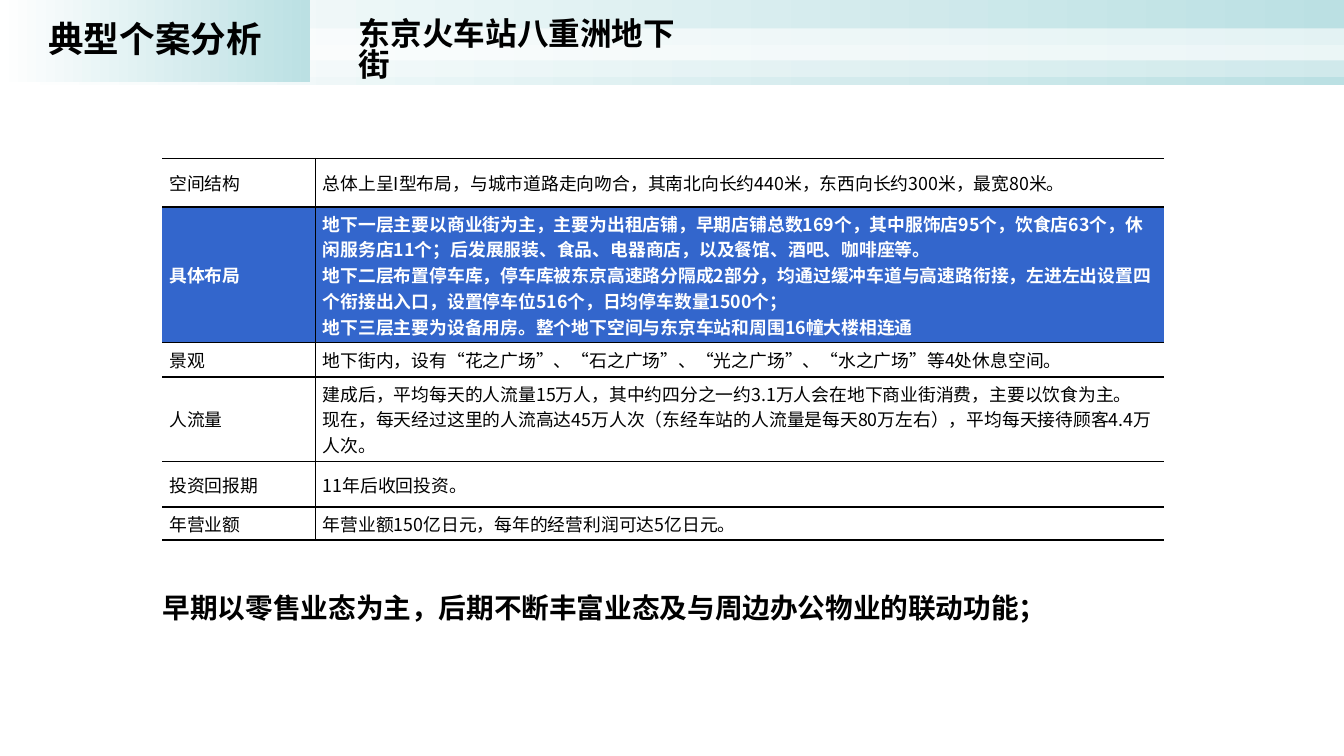
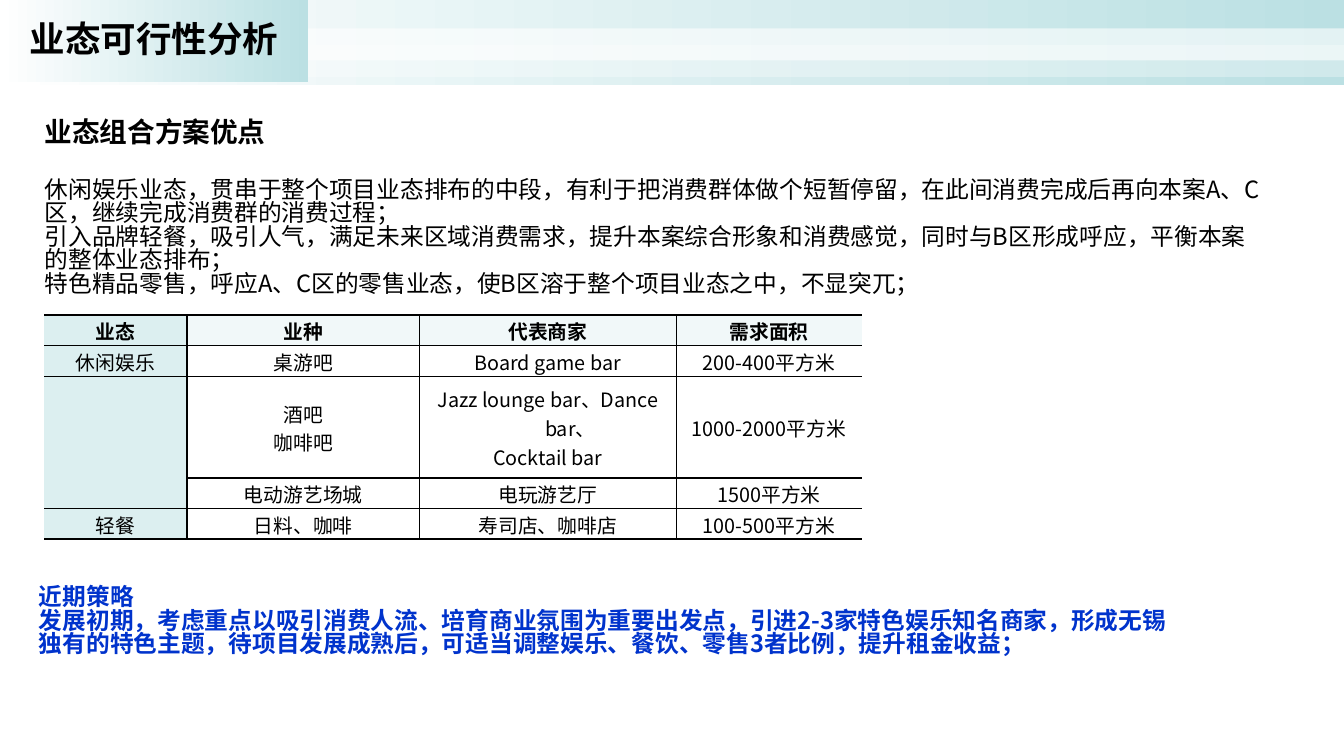
"""Build two slides on underground retail: a station case study and a tenant mix."""
from dataclasses import dataclass
from typing import Optional, Sequence

from lxml.etree import SubElement
from pptx import Presentation
from pptx.dml.color import RGBColor
from pptx.enum.shapes import MSO_SHAPE as Preset
from pptx.enum.text import MSO_ANCHOR as Anchor, MSO_AUTO_SIZE as AutoSize, PP_ALIGN as Align
from pptx.oxml.ns import qn
from pptx.util import Emu, Pt

EMU_PER_PX = 9144
FONT = "Noto Sans CJK SC"
BLACK, WHITE, TEAL = "000000", "FFFFFF", "BBE0E3"
ROW_BLUE, STRATEGY_BLUE = "3366CC", "0033CC"
TIGHT = 0.83
BORDER_POINTS = 1.5


@dataclass(frozen=True)
class Box:
    """Place and size in px."""
    left: int
    top: int
    width: int
    height: int


@dataclass(frozen=True)
class Band:
    """A header strip of the master; no opacity means the teal gradient."""
    box: Box
    opacity: Optional[int] = None


@dataclass(frozen=True)
class CellStyle:
    """Format of one table cell."""
    size: int
    color: str = BLACK
    bold: bool = False
    align: Align = Align.LEFT
    hanging: int = 0
    fill: Optional[str] = None
    opacity: int = 100
    margin_top: int = 5
    margin_bottom: int = 5


BANDS = (
    Band(Box(0, 0, 1890, 119)),
    Band(Box(0, 40, 1890, 45), 60),
    Band(Box(0, 63, 1890, 45), 31),
)

STATION_ROWS = (
    ("空间结构", "总体上呈I型布局，与城市道路走向吻合，其南北向长约440米，东西向长约300米，最宽80米。"),
    ("具体布局",
     "地下一层主要以商业街为主，主要为出租店铺，早期店铺总数169个，其中服饰店95个，饮食店63个，"
     "休闲服务店11个；后发展服装、食品、电器商店，以及餐馆、酒吧、咖啡座等。\n"
     "地下二层布置停车库，停车库被东京高速路分隔成2部分，均通过缓冲车道与高速路衔接，左进左出设置"
     "四个衔接出入口，设置停车位516个，日均停车数量1500个；\n"
     "地下三层主要为设备用房。整个地下空间与东京车站和周围16幢大楼相连通"),
    ("景观", "地下街内，设有“花之广场”、“石之广场”、“光之广场”、“水之广场”等4处休息空间。"),
    ("人流量",
     "建成后，平均每天的人流量15万人，其中约四分之一约3.1万人会在地下商业街消费，主要以饮食为主。\n"
     "现在，每天经过这里的人流高达45万人次（东经车站的人流量是每天80万左右），平均每天接待顾客4.4万人次。"),
    ("投资回报期", "11年后收回投资。"),
    ("年营业额", "年营业额150亿日元，每年的经营利润可达5亿日元。"),
)
HIGHLIGHTED_ROW = 1

TENANT_ROWS = (
    ("业态", "业种", "代表商家", "需求面积"),
    ("休闲娱乐", "桌游吧", "Board game bar", "200-400平方米"),
    ("", "酒吧\n咖啡吧", "Jazz lounge bar、Dance bar、\nCocktail bar", "1000-2000平方米"),
    ("", "电动游艺场城", "电玩游艺厅", "1500平方米"),
    ("轻餐", "日料、咖啡", "寿司店、咖啡店", "100-500平方米"),
)

ADVANTAGES = (
    "休闲娱乐业态，贯串于整个项目业态排布的中段，有利于把消费群体做个短暂停留，在此间消费完成后"
    "再向本案A、C区，继续完成消费群的消费过程；\n"
    "引入品牌轻餐，吸引人气，满足未来区域消费需求，提升本案综合形象和消费感觉，同时与B区形成呼应，"
    "平衡本案的整体业态排布；\n"
    "特色精品零售，呼应A、C区的零售业态，使B区溶于整个项目业态之中，不显突兀；"
)
STRATEGY = (
    "近期策略\n"
    "发展初期，考虑重点以吸引消费人流、培育商业氛围为重要出发点，引进2-3家特色娱乐知名商家，"
    "形成无锡独有的特色主题，待项目发展成熟后，可适当调整娱乐、餐饮、零售3者比例，提升租金收益；"
)


def px(value: int) -> Emu:
    """Turn px into EMU."""
    return Emu(value * EMU_PER_PX)


def place(box: Box) -> tuple:
    """Return the EMU position and size of a box."""
    return px(box.left), px(box.top), px(box.width), px(box.height)


def rgb(color: str) -> RGBColor:
    """Turn a hex string into a colour."""
    return RGBColor.from_string(color)


def fill_solid(fill, color: str, opacity: int = 100) -> None:
    """Fill with one colour at an opacity in percent."""
    fill.solid()
    fill.fore_color.rgb = rgb(color)
    if opacity < 100:
        color_element = fill._xPr.find(qn("a:solidFill"))[0]
        SubElement(color_element, qn("a:alpha"), val=str(opacity * 1000))


def fill_gradient(fill) -> None:
    """Fill from white on the left to teal on the right."""
    fill.gradient()
    fill.gradient_angle = 0
    for stop, color in zip(fill.gradient_stops, (WHITE, TEAL)):
        stop.color.rgb = rgb(color)


def write_text(text_frame, text: str, *, size: int, color: str = BLACK, bold: bool = False,
               align: Align = Align.LEFT, spacing: float = 1.0, hanging: int = 0) -> None:
    """Write one unbulleted paragraph per line of text."""
    for index, line in enumerate(text.split("\n")):
        paragraph = text_frame.add_paragraph() if index else text_frame.paragraphs[0]
        properties = paragraph._p.get_or_add_pPr()
        properties.set("marL", str(px(hanging)))
        properties.set("indent", str(px(-hanging)))
        SubElement(properties, qn("a:buNone"))
        paragraph.alignment = align
        paragraph.line_spacing = spacing
        paragraph.space_before = paragraph.space_after = Pt(0)
        run = paragraph.add_run()
        run.text = line
        run.font.name = FONT
        run.font.size = Pt(size)
        run.font.bold = bold
        run.font.color.rgb = rgb(color)
        SubElement(run._r.get_or_add_rPr(), qn("a:ea"), typeface=FONT)


def fill_frame(shape, box: Box, text: str, *, anchor: Anchor = Anchor.MIDDLE, **text_format) -> None:
    """Place a text shape and write its text."""
    shape.left, shape.top, shape.width, shape.height = place(box)
    frame = shape.text_frame
    frame.word_wrap = True
    frame.auto_size = AutoSize.NONE
    frame.vertical_anchor = anchor
    write_text(frame, text, **text_format)


def add_text(slide, box: Box, text: str, **text_format) -> None:
    """Add a text box with tight lines."""
    fill_frame(slide.shapes.add_textbox(*place(box)), box, text, spacing=TIGHT, **text_format)


def set_title(slide, text: str, width: int) -> None:
    """Format the title placeholder as a gradient tab."""
    title = slide.shapes.title
    fill_gradient(title.fill)
    fill_frame(title, Box(0, 0, width, 115), text, size=36, bold=True,
               align=Align.CENTER, spacing=0.9)


def move_bands_to_master(slide, master) -> None:
    """Draw the header strips and hand them to the master."""
    for position, band in enumerate(BANDS, start=2):
        shape = slide.shapes.add_shape(Preset.RECTANGLE, *place(band.box))
        shape.shadow.inherit = False
        shape.line.fill.background()
        if band.opacity is None:
            fill_gradient(shape.fill)
        else:
            fill_solid(shape.fill, WHITE, band.opacity)
        master.shapes._spTree.insert(position, shape._element)


def set_borders(cell, *, left: bool, right: bool) -> None:
    """Rule a cell above and below, and at the inner sides."""
    properties = cell._tc.get_or_add_tcPr()
    sides = (("a:lnL", left), ("a:lnR", right), ("a:lnT", True), ("a:lnB", True))
    for position, (tag, visible) in enumerate(sides):
        line = SubElement(properties, qn(tag), w=str(Pt(BORDER_POINTS)))
        if visible:
            SubElement(SubElement(line, qn("a:solidFill")), qn("a:srgbClr"), val=BLACK)
        else:
            SubElement(line, qn("a:noFill"))
        properties.insert(position, line)


def format_cell(cell, text: str, style: CellStyle) -> None:
    """Apply a style to a cell and write its text."""
    cell.vertical_anchor = Anchor.MIDDLE
    cell.margin_top, cell.margin_bottom = px(style.margin_top), px(style.margin_bottom)
    if style.fill:
        fill_solid(cell.fill, style.fill, style.opacity)
    else:
        cell.fill.background()
    write_text(cell.text_frame, text, size=style.size, color=style.color, bold=style.bold,
               align=style.align, hanging=style.hanging)


def add_grid(slide, left: int, top: int, widths: Sequence[int], heights: Sequence[int],
             rows: Sequence[Sequence[str]], style_of):
    """Add a ruled table whose cell styles come from style_of(row, column)."""
    box = Box(left, top, sum(widths), sum(heights))
    table = slide.shapes.add_table(len(heights), len(widths), *place(box)).table
    table.first_row = table.horz_banding = False
    for column, width in zip(table.columns, widths):
        column.width = px(width)
    for row_index, (height, texts) in enumerate(zip(heights, rows)):
        table.rows[row_index].height = px(height)
        for column_index, text in enumerate(texts):
            cell = table.cell(row_index, column_index)
            format_cell(cell, text, style_of(row_index, column_index))
            set_borders(cell, left=column_index > 0, right=column_index < len(widths) - 1)
    return table


def station_style(row: int, column: int) -> CellStyle:
    """Style the station table, with one row highlighted."""
    if row == HIGHLIGHTED_ROW:
        return CellStyle(18, color=WHITE, bold=True, fill=ROW_BLUE)
    return CellStyle(18)


def tenant_style(row: int, column: int) -> CellStyle:
    """Style the tenant table, with a tinted header and first column."""
    tinted = row == 0 or column == 0
    return CellStyle(20, bold=row == 0, align=Align.CENTER, hanging=63,
                     fill=TEAL if tinted else None, opacity=50 if column == 0 else 20,
                     margin_top=2, margin_bottom=0)


def build_station_slide(slide) -> None:
    """Fill the station case slide."""
    set_title(slide, "典型个案分析", 436)
    add_text(slide, Box(495, 23, 500, 63), "东京火车站八重洲地下街",
             size=32, bold=True, anchor=Anchor.TOP)
    add_grid(slide, 228, 223, (216, 1193), (68, 191, 48, 119, 64, 46), STATION_ROWS, station_style)
    add_text(slide, Box(219, 829, 1379, 57), "早期以零售业态为主，后期不断丰富业态及与周边办公物业的联动功能；",
             size=28, bold=True)


def build_tenant_slide(slide) -> None:
    """Fill the tenant mix slide."""
    set_title(slide, "业态可行性分析", 433)
    add_text(slide, Box(53, 160, 400, 57), "业态组合方案优点", size=28, bold=True)
    fill_frame(slide.placeholders[1], Box(53, 230, 1733, 210), ADVANTAGES, size=24, spacing=TIGHT)
    table = add_grid(slide, 62, 443, (201, 327, 361, 261), (43, 43, 143, 43, 43),
                     TENANT_ROWS, tenant_style)
    table.cell(2, 0).merge(table.cell(3, 0))
    add_text(slide, Box(45, 810, 1608, 130), STRATEGY, size=24, color=STRATEGY_BLUE, bold=True)


def main() -> None:
    """Build and save the presentation."""
    presentation = Presentation()
    presentation.slide_width, presentation.slide_height = px(1890), px(1063)
    layouts = presentation.slide_layouts
    station_slide = presentation.slides.add_slide(layouts.get_by_name("Title Only"))
    move_bands_to_master(station_slide, presentation.slide_master)
    build_station_slide(station_slide)
    build_tenant_slide(presentation.slides.add_slide(layouts.get_by_name("Title and Content")))
    presentation.save("out.pptx")


if __name__ == "__main__":
    main()
